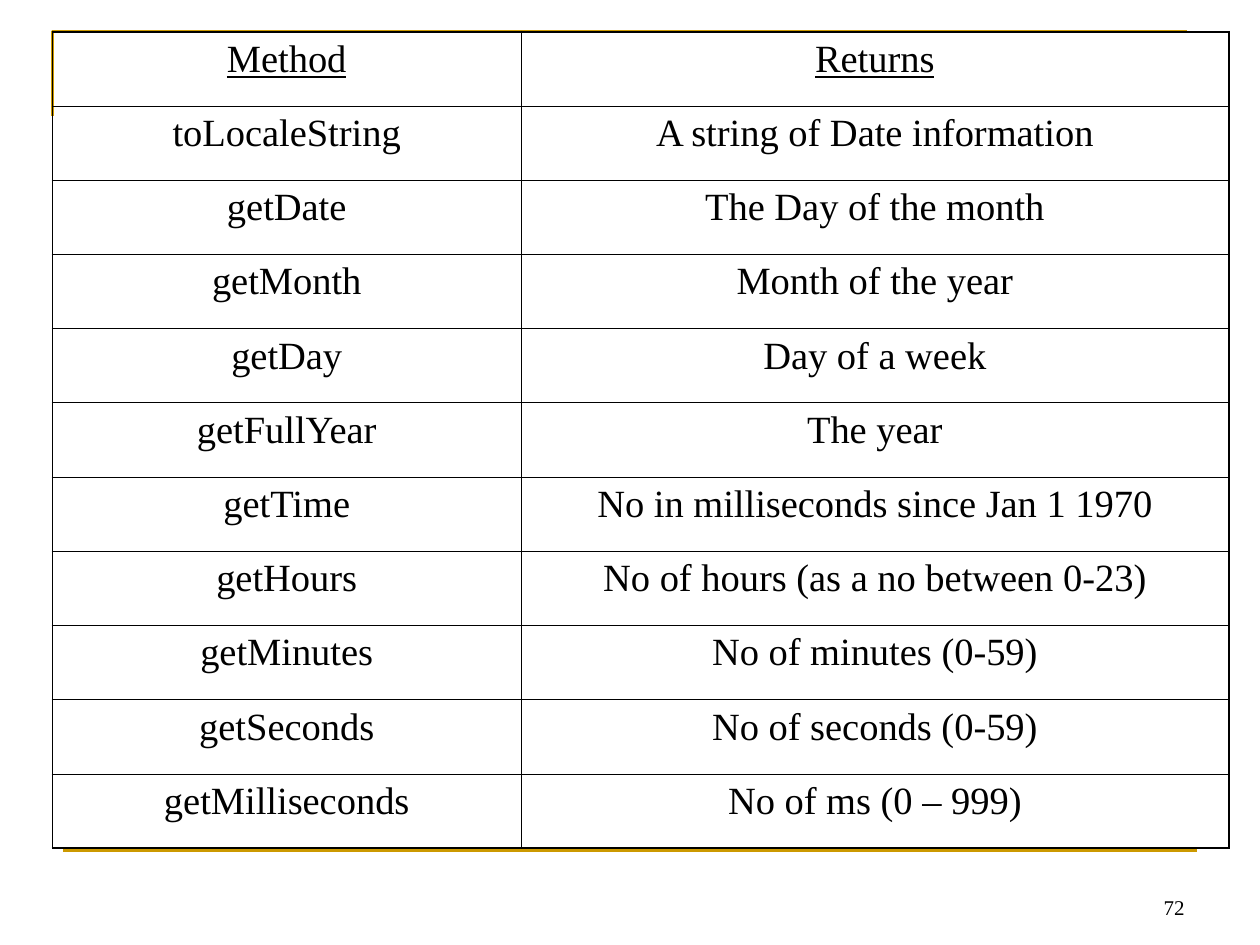
from lxml import etree
from pptx import Presentation
from pptx.dml.color import RGBColor
from pptx.enum.shapes import MSO_CONNECTOR
from pptx.enum.text import MSO_ANCHOR, PP_ALIGN
from pptx.oxml.ns import qn
from pptx.util import Cm, Pt

CENTER, RIGHT = PP_ALIGN.CENTER, PP_ALIGN.RIGHT
BOTTOM = MSO_ANCHOR.BOTTOM
STRAIGHT = MSO_CONNECTOR.STRAIGHT
BLACK = RGBColor(0x00, 0x00, 0x00)
GOLD = RGBColor(0xCC, 0x99, 0x00)
FONT = "Times New Roman"
BLANK_LAYOUT = 6
THIN, THICK = Pt(0.45), Pt(1.08)
LEFT, TOP = Cm(1.06), Cm(0.64)
COLUMN_WIDTHS = (Cm(9.44), Cm(14.27))
TABLE_HEIGHT = Cm(16.46)
ROWS = (
    ("Method", "Returns"),
    ("toLocaleString", "A string of Date information"),
    ("getDate", "The Day of the month"),
    ("getMonth", "Month of the year"),
    ("getDay", "Day of a week"),
    ("getFullYear", "The year"),
    ("getTime", "No in milliseconds since Jan 1 1970"),
    ("getHours", "No of hours (as a no between 0-23)"),
    ("getMinutes", "No of minutes (0-59)"),
    ("getSeconds", "No of seconds (0-59)"),
    ("getMilliseconds", "No of ms (0 – 999)"),
)


def format_paragraph(paragraph, size, alignment):
    """Set the font and alignment of a paragraph."""
    paragraph.alignment = alignment
    paragraph.font.name = FONT
    paragraph.font.size = Pt(size)
    paragraph.font.color.rgb = BLACK


def set_borders(cell, widths):
    """Draw the left, right, top and bottom borders of a cell."""
    properties = cell._tc.get_or_add_tcPr()
    for index, (side, width) in enumerate(zip("LRTB", widths)):
        border = etree.Element(qn(f"a:ln{side}"), w=str(width))
        fill = etree.SubElement(border, qn("a:solidFill"))
        etree.SubElement(fill, qn("a:srgbClr"), val=str(BLACK))
        properties.insert(index, border)


def add_corner_line(slide):
    """Add the gold line that runs up and along the top edge."""
    builder = slide.shapes.build_freeform(LEFT, Cm(2.33))
    builder.add_line_segments([(LEFT, TOP), (Cm(23.92), TOP)], close=False)
    corner = builder.convert_to_shape()
    corner.shadow.inherit = False
    corner.fill.background()
    corner.line.color.rgb = GOLD
    corner.line.width = Pt(1.5)


def add_bottom_line(slide):
    """Add the gold line below the table."""
    y = Cm(17.15)
    line = slide.shapes.add_connector(STRAIGHT, Cm(1.27), y, Cm(24.13), y)
    line.line.color.rgb = GOLD
    line.line.width = Pt(1.5)
    etree.SubElement(line._element.spPr, qn("a:effectLst"))


def add_method_table(slide):
    """Add the table of Date methods with a heavier outer border."""
    last_row, last_column = len(ROWS) - 1, len(COLUMN_WIDTHS) - 1
    frame = slide.shapes.add_table(len(ROWS), len(COLUMN_WIDTHS), LEFT, TOP,
                                   sum(COLUMN_WIDTHS), TABLE_HEIGHT)
    table = frame.table
    table.first_row = table.horz_banding = False
    for column, width in zip(table.columns, COLUMN_WIDTHS):
        column.width = width
    for row_index, texts in enumerate(ROWS):
        for column_index, text in enumerate(texts):
            cell = table.cell(row_index, column_index)
            cell.text = text
            cell.fill.background()
            paragraph = cell.text_frame.paragraphs[0]
            format_paragraph(paragraph, 22, CENTER)
            paragraph.space_before = Pt(5.5)
            paragraph.font.underline = row_index == 0
            outer = (column_index == 0, column_index == last_column,
                     row_index == 0, row_index == last_row)
            set_borders(cell, [THICK if edge else THIN for edge in outer])


def add_page_number(slide):
    """Add the page number at the lower right."""
    box = slide.shapes.add_textbox(Cm(18.2), Cm(17.35), Cm(5.93), Cm(1.32))
    text_frame = box.text_frame
    text_frame.word_wrap = True
    text_frame.vertical_anchor = BOTTOM
    text_frame.text = "72"
    format_paragraph(text_frame.paragraphs[0], 12, RIGHT)


def main():
    """Build the slide and save it."""
    presentation = Presentation()
    presentation.slide_width, presentation.slide_height = Cm(25.4), Cm(19.05)
    slide = presentation.slides.add_slide(
        presentation.slide_layouts[BLANK_LAYOUT])
    add_corner_line(slide)
    add_bottom_line(slide)
    add_method_table(slide)
    add_page_number(slide)
    presentation.save("out.pptx")


main()
